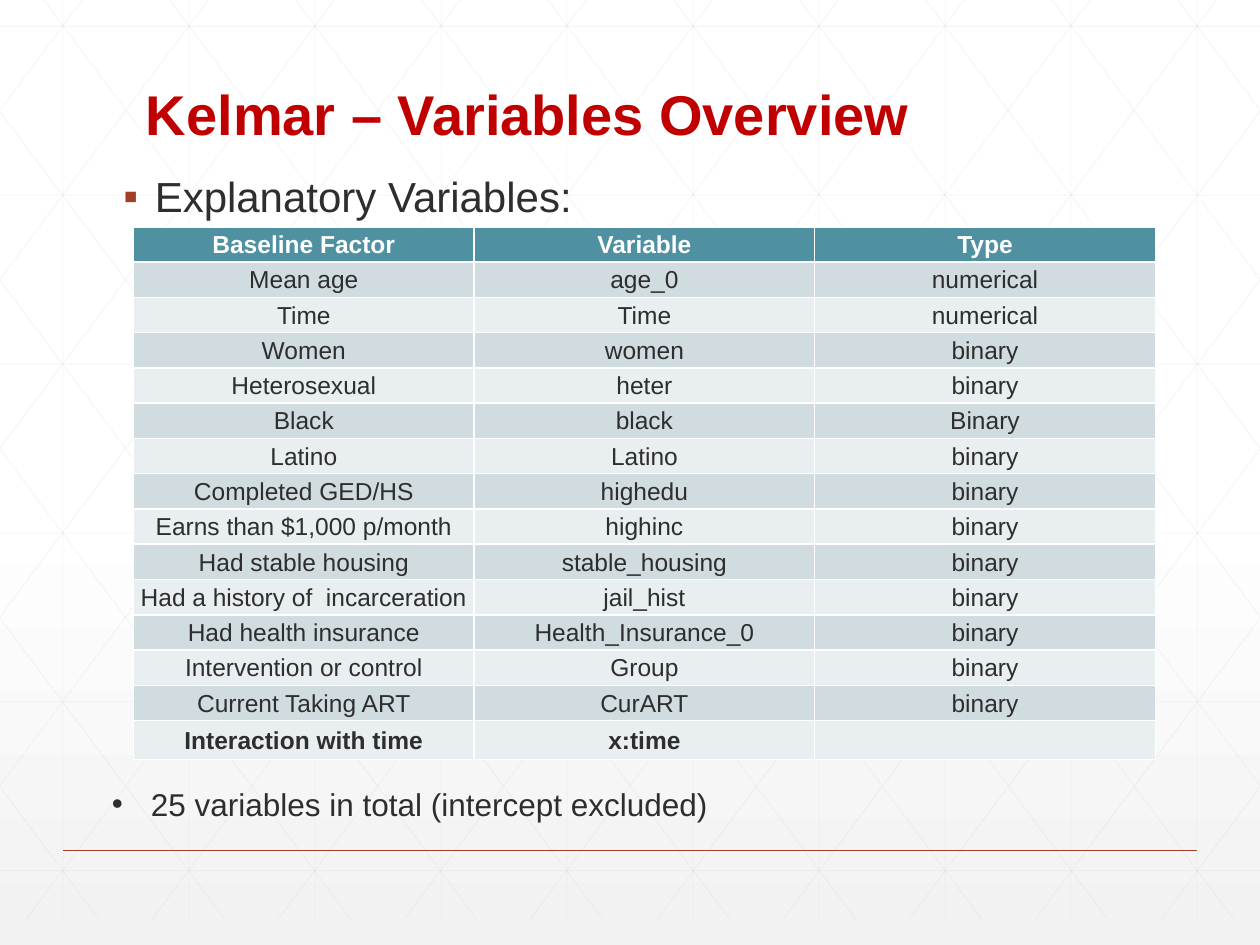
from copy import deepcopy
from dataclasses import dataclass

from pptx import Presentation
from pptx.dml.color import RGBColor as RGB
from pptx.enum.shapes import MSO_CONNECTOR as Link
from pptx.enum.text import MSO_ANCHOR as Anchor, PP_ALIGN as Align
from pptx.oxml.ns import qn
from pptx.slide import Slide
from pptx.util import Inches, Pt
from lxml.etree import SubElement as Sub

WHITE = RGB(0xFF, 0xFF, 0xFF)
SMOKE = RGB(0xF2, 0xF2, 0xF2)
GRID = RGB(0xD9, 0xD9, 0xD9)
RUST = RGB(0xA4, 0x3F, 0x27)
RED = RGB(0xC0, 0x00, 0x00)
INK = RGB(0x2D, 0x2E, 0x2D)
TEAL = RGB(0x4F, 0x91, 0xA1)
BANDS = RGB(0xE9, 0xEE, 0xF0), RGB(0xD0, 0xDC, 0xE0)

WIDE, TOP, BASE = 10, -0.21, 7.29
SLOPE, RUN = 1.34, 5.6

ROWS = [
    ("Baseline Factor", "Variable", "Type"),
    ("Mean age", "age_0", "numerical"),
    ("Time", "Time", "numerical"),
    ("Women", "women", "binary"),
    ("Heterosexual", "heter", "binary"),
    ("Black", "black", "Binary"),
    ("Latino", "Latino", "binary"),
    ("Completed GED/HS", "highedu", "binary"),
    ("Earns than $1,000 p/month", "highinc", "binary"),
    ("Had stable housing", "stable_housing", "binary"),
    ("Had a history of  incarceration", "jail_hist", "binary"),
    ("Had health insurance", "Health_Insurance_0", "binary"),
    ("Intervention or control", "Group", "binary"),
    ("Current Taking ART", "CurART", "binary"),
    ("Interaction with time", "x:time", ""),
]


def apply(item, values):
    for name, value in values.items():
        setattr(item, name, value)


@dataclass
class Deck:
    """Holds the text style and the current slide, and draws each element."""

    slide: Slide
    face: str = "Arial"

    def back(self, stops):
        fill = self.slide.background.fill
        fill.gradient()
        fill.gradient_angle = 270
        first = fill.gradient_stops[0]
        first.color.rgb = WHITE
        node = self.slide.background._cSld.find(".//" + qn("a:gsLst"))
        model = deepcopy(node[0])
        for old in list(node):
            node.remove(old)
        for spot, color in stops:
            stop = deepcopy(model)
            stop.set("pos", str(spot * 1000))
            stop[0].set("val", str(color))
            node.append(stop)

    def line(self, start, end, color, width, alpha=None):
        ends = [Inches(v) for v in (*start, *end)]
        link = self.slide.shapes.add_connector(Link.STRAIGHT, *ends)
        link.line.color.rgb = color
        link.line.width = Pt(width)
        props = link._element.spPr
        Sub(props, qn("a:effectLst"))
        if alpha:
            tint = props.find(".//" + qn("a:srgbClr"))
            Sub(tint, qn("a:alpha")).set("val", str(alpha * 1000))

    def words(self, para, text, size, color, bold=False):
        run = para.add_run()
        run.text = text
        apply(run.font, {"name": self.face, "size": Pt(size), "bold": bold})
        run.font.color.rgb = color

    def text(self, box, text, size, color, bold=False, anchor=Anchor.TOP, **gaps):
        shape = self.slide.shapes.add_textbox(*[Inches(v) for v in box])
        frame = shape.text_frame
        apply(frame, {"word_wrap": True, "vertical_anchor": anchor})
        para = frame.paragraphs[0]
        apply(para, gaps)
        self.words(para, text, size, color, bold)
        return para

    def bullet(self, para, mark, indent, color):
        props = para._p.get_or_add_pPr()
        props.set("marL", str(Inches(indent)))
        props.set("indent", str(Inches(-indent)))
        Sub(Sub(props, qn("a:buClr")), qn("a:srgbClr")).set("val", str(color))
        Sub(props, qn("a:buFont")).set("typeface", self.face)
        Sub(props, qn("a:buChar")).set("char", mark)

    def table(self, box, rows):
        place = [Inches(v) for v in box]
        grid = self.slide.shapes.add_table(len(rows), len(rows[0]), *place).table
        edge = Inches(0.01)
        style = {"margin_left": edge, "margin_top": edge, "margin_right": edge,
                 "margin_bottom": 0, "vertical_anchor": Anchor.MIDDLE}
        for r, row in enumerate(rows):
            head = r == 0
            bold = r in (0, len(rows) - 1)
            for c, text in enumerate(row):
                cell = grid.cell(r, c)
                apply(cell, style)
                cell.fill.solid()
                cell.fill.fore_color.rgb = TEAL if head else BANDS[r % 2]
                para = cell.text_frame.paragraphs[0]
                para.alignment = Align.CENTER
                self.words(para, text, 14, WHITE if head else INK, bold)


def lattice(deck):
    lines = [((k + 0.5, TOP), (k + 0.5, BASE)) for k in range(10)]
    lines += [((0, 0.21 + k * SLOPE), (WIDE, 0.21 + k * SLOPE)) for k in range(6)]
    for first, count, y, way in ((0.19, 10, TOP, 1), (5.22, 5, BASE, -1)):
        for k in range(count):
            x = first + k
            span = min(RUN, WIDE - x)
            end = y + way * span * SLOPE
            lines.append(((x, y), (x + span, end)))
            lines.append(((WIDE - x, y), (WIDE - x - span, end)))
    for start, end in lines:
        deck.line(start, end, GRID, 0.5, alpha=25)


def main():
    show = Presentation()
    apply(show, {"slide_width": Inches(WIDE), "slide_height": Inches(7.5)})
    deck = Deck(show.slides.add_slide(show.slide_layouts[6]))
    deck.back([(0, WHITE), (53, WHITE), (100, SMOKE)])
    lattice(deck)
    deck.line((0.5, 6.75), (9.5, 6.75), RUST, 1)
    deck.text((1.06, 0.55, 7.88, 0.67), "Kelmar – Variables Overview", 32, RED,
              bold=True, anchor=Anchor.BOTTOM, line_spacing=0.9)
    lead = deck.text((0.88, 1.35, 7.88, 4.17), "Explanatory Variables:", 24, INK,
                     line_spacing=0.9, space_before=Pt(18))
    deck.bullet(lead, "▪", 0.25, RUST)
    total = deck.text((0.79, 6.18, 6.53, 0.4),
                      "25 variables in total (intercept excluded)", 18, INK)
    deck.bullet(total, "•", 0.31, INK)
    deck.table((1.06, 1.8, 8.11, 4.2), ROWS)
    show.save("out.pptx")


if __name__ == "__main__":
    main()
